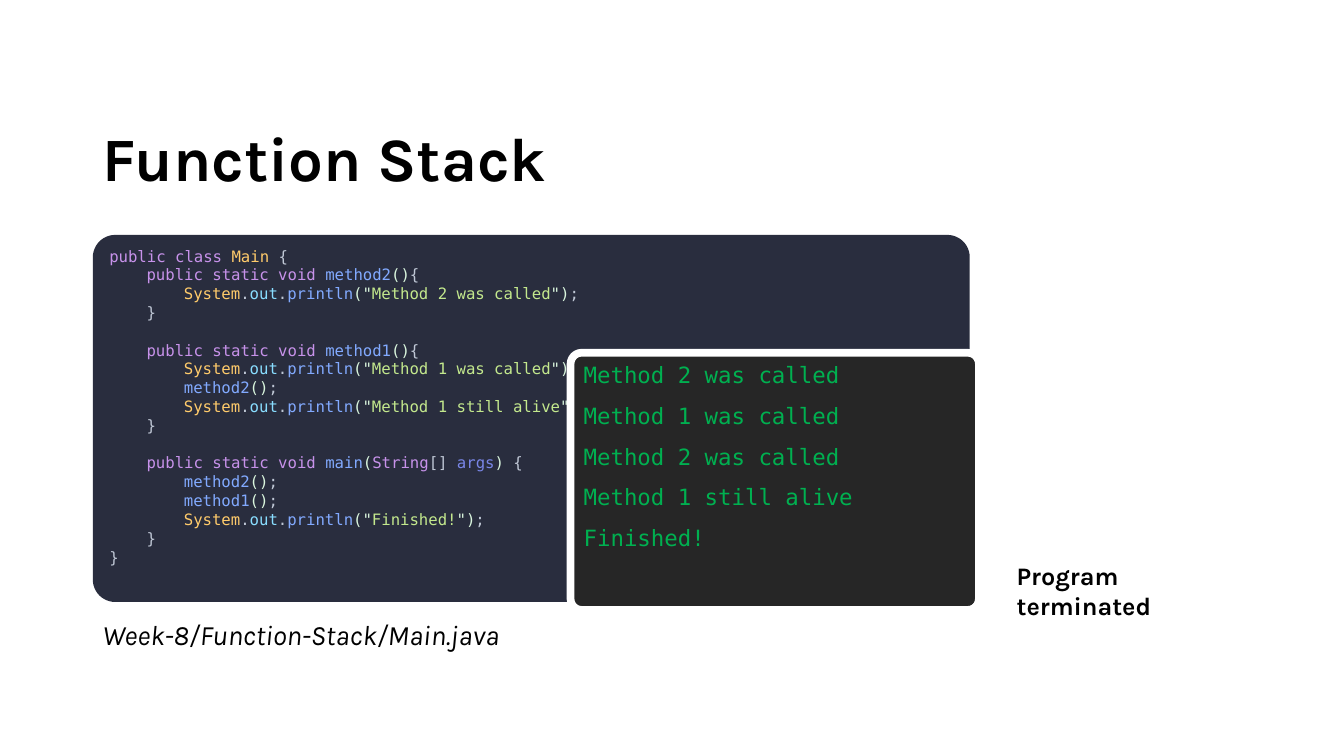
from pptx import Presentation, util as u
from pptx.dml.color import RGBColor
from pptx.enum import shapes, text

SANS, MONO = "Karla", "DejaVu Sans Mono"
BLACK, WHITE, GREEN = "000000", "FFFFFF", "00B050"
CODE_FILL, CONSOLE_FILL = "292D3E", "262626"
# Syntax colours
KEYWORD, TYPE, PLAIN, FUNCTION = "C792EA", "FFCB6B", "BFC7D5", "82AAFF"
BRACKET, FIELD, STRING, ARGUMENT = "D9F5DD", "89DDFF", "C3E88D", "7986E7"
CODE_SIZE, CONSOLE_SIZE = 11.2, 16
INDENT = u.Cm(0.94)
LEFT = 2.34


def colour(value):
    return RGBColor.from_string(value)


def add_run(paragraph, words, size, font, value, bold=False, italic=False):
    run = paragraph.add_run()
    run.text = words
    run.font.size = u.Pt(size)
    run.font.name = font
    run.font.color.rgb = colour(value)
    run.font.bold = bold
    run.font.italic = italic


def add_label(slide, box, words, size, anchor=text.MSO_ANCHOR.TOP,
              spacing=1.0, **style):
    frame = slide.shapes.add_textbox(*map(u.Cm, box)).text_frame
    frame.word_wrap = True
    frame.vertical_anchor = anchor
    paragraph = frame.paragraphs[0]
    paragraph.line_spacing = spacing
    add_run(paragraph, words, size, SANS, BLACK, **style)


def add_panel(slide, box, radius, fill, outline=None):
    """Add a rounded panel and return its text frame."""
    shape = slide.shapes.add_shape(
        shapes.MSO_SHAPE.ROUNDED_RECTANGLE, *map(u.Cm, box))
    shape.adjustments[0] = radius
    shape.shadow.inherit = False
    shape.fill.solid()
    shape.fill.fore_color.rgb = colour(fill)
    if outline:
        shape.line.color.rgb = colour(outline)
        shape.line.width = u.Pt(5.5)
    else:
        shape.line.fill.background()
    frame = shape.text_frame
    frame.word_wrap = True
    frame.vertical_anchor = text.MSO_ANCHOR.TOP
    return frame


def add_lines(frame, lines, size):
    """Write lines given as (indent level, space before, coloured tokens)."""
    for number, (level, before, tokens) in enumerate(lines):
        paragraph = frame.add_paragraph() if number else frame.paragraphs[0]
        paragraph.alignment = text.PP_ALIGN.LEFT
        paragraph.line_spacing = u.Pt(1.2 * size)
        paragraph.space_before = u.Pt(before)
        if level:
            properties = paragraph._p.get_or_add_pPr()
            properties.set("marL", str(level * INDENT))
            properties.set("indent", "0")
        for words, value in tokens:
            add_run(paragraph, words, size, MONO, value)


# Java statements as lists of coloured tokens
def method_head(name, *rest):
    return [("public static void ", KEYWORD), (name, FUNCTION), *rest]


def call(name):
    return 2, 0, [(name, FUNCTION), ("()", BRACKET), (";", PLAIN)]


def print_line(message):
    return 2, 0, [("System", TYPE), (".", PLAIN), ("out", FIELD), (".", PLAIN),
                  ("println", FUNCTION), ('("', BRACKET), (message, STRING),
                  ('")', BRACKET), (";", PLAIN)]


def closing(level):
    return level, 0, [("}", PLAIN)]


def java_lines():
    gap = 1.2 * CODE_SIZE
    no_arguments = [("()", BRACKET), ("{", PLAIN)]
    main_arguments = [("(", BRACKET), ("String", KEYWORD), ("[] ", PLAIN),
                      ("args", ARGUMENT), (")", BRACKET), (" {", PLAIN)]
    return [
        (0, 0, [("public class ", KEYWORD), ("Main", TYPE), (" {", PLAIN)]),
        (1, 0, method_head("method2", *no_arguments)),
        print_line("Method 2 was called"),
        closing(1),
        (1, gap, method_head("method1", *no_arguments)),
        print_line("Method 1 was called"),
        call("method2"),
        print_line("Method 1 still alive"),
        closing(1),
        (1, gap, method_head("main", *main_arguments)),
        call("method2"),
        call("method1"),
        print_line("Finished!"),
        closing(1),
        closing(0),
    ]


def main():
    presentation = Presentation()
    presentation.slide_width = u.Cm(33.87)
    presentation.slide_height = u.Cm(19.05)
    slide = presentation.slides.add_slide(presentation.slide_layouts[6])

    # Title
    add_label(slide, (LEFT, 2.24, 29.21, 3.68), "Function Stack", 44,
              anchor=text.MSO_ANCHOR.MIDDLE, spacing=0.9, bold=True)

    # Code and its file name
    code = add_panel(slide, (LEFT, 5.92, 22.1, 9.25), 0.061, CODE_FILL)
    add_lines(code, java_lines(), CODE_SIZE)
    add_label(slide, (LEFT, 15.54, 22.1, 1.88),
              "Week-8/Function-Stack/Main.java", 20, spacing=0.9, italic=True)

    # Console output
    console = add_panel(slide, (14.38, 8.89, 10.29, 6.48), 0.043,
                        CONSOLE_FILL, WHITE)
    messages = ["Method 2 was called", "Method 1 was called",
                "Method 2 was called", "Method 1 still alive", "Finished!"]
    add_lines(console, [(0, 10 if number else 0, [(message, GREEN)])
                        for number, message in enumerate(messages)],
              CONSOLE_SIZE)

    # Program state
    add_label(slide, (25.37, 14, 6.35, 1.55), "Program terminated", 18,
              bold=True)

    presentation.save("out.pptx")


if __name__ == "__main__":
    main()
